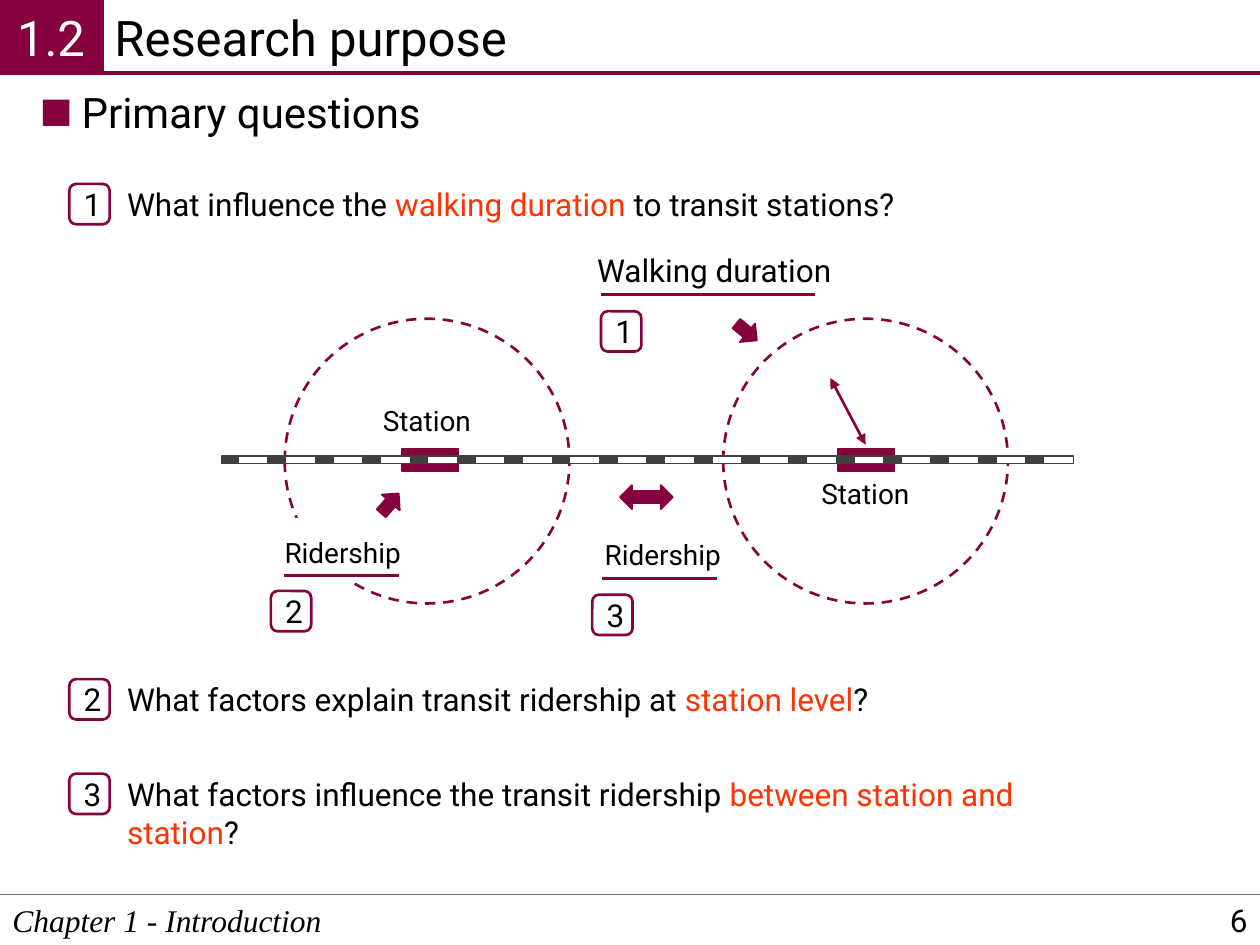
from dataclasses import dataclass

from lxml.etree import SubElement
from pptx import Presentation
from pptx.dml.color import RGBColor
from pptx.enum.dml import MSO_LINE
from pptx.enum.shapes import MSO_CONNECTOR, MSO_SHAPE
from pptx.enum.text import MSO_ANCHOR, MSO_AUTO_SIZE, PP_ALIGN
from pptx.oxml.ns import qn
from pptx.util import Inches, Pt


@dataclass(frozen=True)
class Theme:
    maroon: str = "85023E"
    accent: str = "FF3300"
    black: str = "000000"
    white: str = "FFFFFF"
    rail: str = "404040"
    rule: str = "767171"
    font: str = "Roboto"
    footer_font: str = "Times New Roman"
    title: int = 28
    heading: int = 24
    body: int = 18
    label: int = 16


T = Theme()


def write(sp, text, size=T.body, color=T.black, font=T.font, italic=False,
          align=PP_ALIGN.LEFT, anchor=MSO_ANCHOR.TOP, wrap=True, inset=None):
    """Fill a shape with text: a string or a list of (string, color) runs."""
    tf = sp.text_frame
    tf.word_wrap = wrap
    tf.vertical_anchor = anchor
    if not wrap:
        tf.auto_size = MSO_AUTO_SIZE.SHAPE_TO_FIT_TEXT
    if inset is not None:
        tf.margin_left = tf.margin_right = Inches(inset)
        tf.margin_top = tf.margin_bottom = Inches(inset)
    p = tf.paragraphs[0]
    p.alignment = align
    for part, part_color in [(text, color)] if isinstance(text, str) else text:
        r = p.add_run()
        r.text = part
        r.font.size = Pt(size)
        r.font.name = font
        r.font.italic = italic
        r.font.color.rgb = RGBColor.from_string(part_color)


def add_text(s, x, y, w, h, text, **fmt):
    sp = s.shapes.add_textbox(Inches(x), Inches(y), Inches(w), Inches(h))
    write(sp, text, **fmt)
    return sp


def add_box(s, kind, x, y, w, h, fill=None, line=None, width=1.0, rotation=0):
    sp = s.shapes.add_shape(kind, Inches(x), Inches(y), Inches(w), Inches(h))
    sp.shadow.inherit = False
    sp.rotation = rotation
    if fill:
        sp.fill.solid()
        sp.fill.fore_color.rgb = RGBColor.from_string(fill)
    else:
        sp.fill.background()
    if line:
        sp.line.color.rgb = RGBColor.from_string(line)
        sp.line.width = Pt(width)
    else:
        sp.line.fill.background()
    return sp


def add_line(s, x1, y1, x2, y2, color=T.maroon, width=1.5, arrows=False):
    cx = s.shapes.add_connector(MSO_CONNECTOR.STRAIGHT, Inches(x1), Inches(y1),
                                Inches(x2), Inches(y2))
    cx.line.color.rgb = RGBColor.from_string(color)
    cx.line.width = Pt(width)
    if arrows:
        ln = cx.line._get_or_add_ln()
        for end in ("a:headEnd", "a:tailEnd"):
            SubElement(ln, qn(end), type="triangle")
    SubElement(cx._element.spPr, qn("a:effectLst"))
    return cx


def add_badge(s, x, y, number):
    sp = add_box(s, MSO_SHAPE.ROUNDED_RECTANGLE, x, y, 0.32, 0.32,
                 line=T.maroon, width=1.5)
    write(sp, number, align=PP_ALIGN.CENTER, anchor=MSO_ANCHOR.MIDDLE)


def add_arrow(s, x, y, rotation=0):
    add_box(s, MSO_SHAPE.RIGHT_ARROW, x, y, 0.21, 0.19, fill=T.maroon,
            line=T.maroon, rotation=rotation)


def add_header(s, x, y, w, h, number, title):
    tab = 0.81
    add_text(s, x + tab, y + 0.01, w - tab, h - 0.01, title, size=T.title)
    sp = add_box(s, MSO_SHAPE.RECTANGLE, x, y, tab, h, fill=T.maroon,
                 line=T.maroon, width=2.25)
    write(sp, number, size=T.title, color=T.white, align=PP_ALIGN.CENTER,
          anchor=MSO_ANCHOR.MIDDLE, inset=0.06)
    add_line(s, x + tab, y + h, x + w, y + h, width=2.25)


def add_footer(s, x, y, w, h, chapter, page):
    add_text(s, x, y, w, h, chapter, font=T.footer_font, italic=True)
    add_line(s, x, y, x + w, y, color=T.rule, width=1)
    add_text(s, x + w - 2.25, y, 2.25, h, page, align=PP_ALIGN.RIGHT,
             anchor=MSO_ANCHOR.MIDDLE)


def add_heading(s, x, y, w, h, text):
    add_box(s, MSO_SHAPE.RECTANGLE, x, y + 0.15, 0.21, 0.21, fill=T.maroon)
    add_text(s, x + 0.21, y, w - 0.21, h, text, size=T.heading, wrap=False)


def add_question(s, x, y, w, h, number, before, key, after):
    add_text(s, x + 0.36, y, w - 0.36, h,
             [(before, T.black), (key, T.accent), (after, T.black)])
    add_badge(s, x, y + 0.04, number)


def add_track(s, x, y, w, h, pairs=18):
    """Railway line of alternating dark and light pieces."""
    dark, light = 0.13, 0.24
    pitch = (w - dark - light) / (pairs - 1)
    for i in range(pairs):
        left = x + i * pitch
        add_box(s, MSO_SHAPE.RECTANGLE, left, y, dark, h, T.rail, T.rail)
        add_box(s, MSO_SHAPE.RECTANGLE, left + dark, y, light, h, T.white, T.rail)


def add_diagram(s, x, y, w, h):
    # Stations with their catchment circles
    for station, circle in ((1.43, 0.5), (4.89, 3.98)):
        add_box(s, MSO_SHAPE.RECTANGLE, x + station, y + 1.62, 0.45, 0.18,
                fill=T.maroon, line=T.maroon)
        sp = add_box(s, MSO_SHAPE.OVAL, x + circle, y + 0.59, 2.26, 2.26,
                     line=T.maroon, width=1.5)
        sp.line.dash_style = MSO_LINE.DASH
    for left, top in ((1.18, 1.21), (4.66, 1.79)):
        add_text(s, x + left, y + top, 0.9, 0.37, "Station", size=T.label,
                 wrap=False)
    add_track(s, x, y + 1.68, w, 0.06)

    # Block arrows
    for left, top, rotation in ((1.23, 1.96, 311.6), (3.16, 1.91, 180),
                                (3.37, 1.91, 0), (4.06, 0.6, 39.3)):
        add_arrow(s, x + left, y + top, rotation)

    # White backing that breaks the left circle
    add_box(s, MSO_SHAPE.RECTANGLE, x + 0.14, y + 2.17, 1.34, 0.5, fill=T.white)

    # Underlined labels: left, top, width, height, size, text
    for left, top, width, height, size, text in (
            (0.4, 2.26, 1.15, 0.37, T.label, "Ridership"),
            (2.94, 2.28, 1.15, 0.37, T.label, "Ridership"),
            (2.88, 0, 2.07, 0.4, T.body, "Walking duration")):
        add_text(s, x + left, y + top, width, height, text, size=size, wrap=False)
    for start, end, top in ((0.49, 1.41, 2.63), (3.02, 3.93, 2.65),
                            (3.01, 4.71, 0.4)):
        add_line(s, x + start, y + top, x + end, y + top)
    for left, top, number in ((0.39, 2.75, "2"), (2.94, h - 0.32, "3"),
                              (3.01, 0.53, "1")):
        add_badge(s, x + left, y + top, number)

    # Walking distance
    add_line(s, x + 5.11, y + 1.59, x + 4.83, y + 1.06, arrows=True)


def main():
    prs = Presentation()
    prs.slide_width, prs.slide_height = Inches(10), Inches(7.5)
    s = prs.slides.add_slide(prs.slide_layouts[6])

    add_footer(s, 0, 7.1, 10, 0.4, "Chapter 1 - Introduction", "6")
    add_header(s, 0, 0, 10, 0.58, "1.2", "Research purpose")
    add_heading(s, 0.34, 0.64, 3.11, 0.5, "Primary questions")
    questions = (
        (1.42, 7.97, "What influence the ", "walking duration",
         " to transit stations?"),
        (5.35, 7.97, "What factors explain transit ridership at ",
         "station level", "?"),
        (6.1, 8.34, "What factors influence the transit ridership ",
         "between station and station", "?"),
    )
    for i, (top, width, *parts) in enumerate(questions, 1):
        add_question(s, 0.55, top, width, 0.4, str(i), *parts)
    add_diagram(s, 1.76, 1.94, 6.76, 3.1)

    prs.save("out.pptx")


if __name__ == "__main__":
    main()
